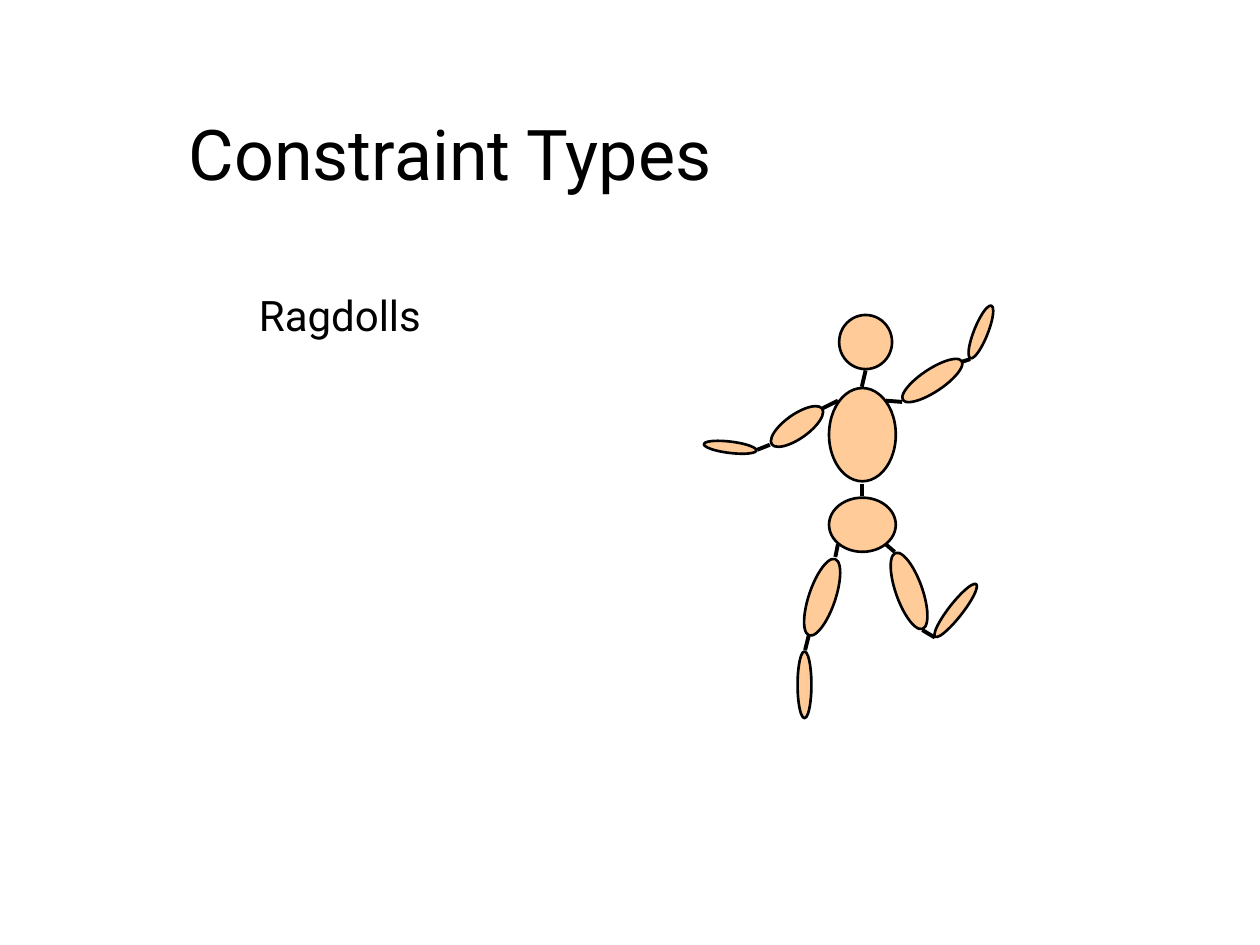
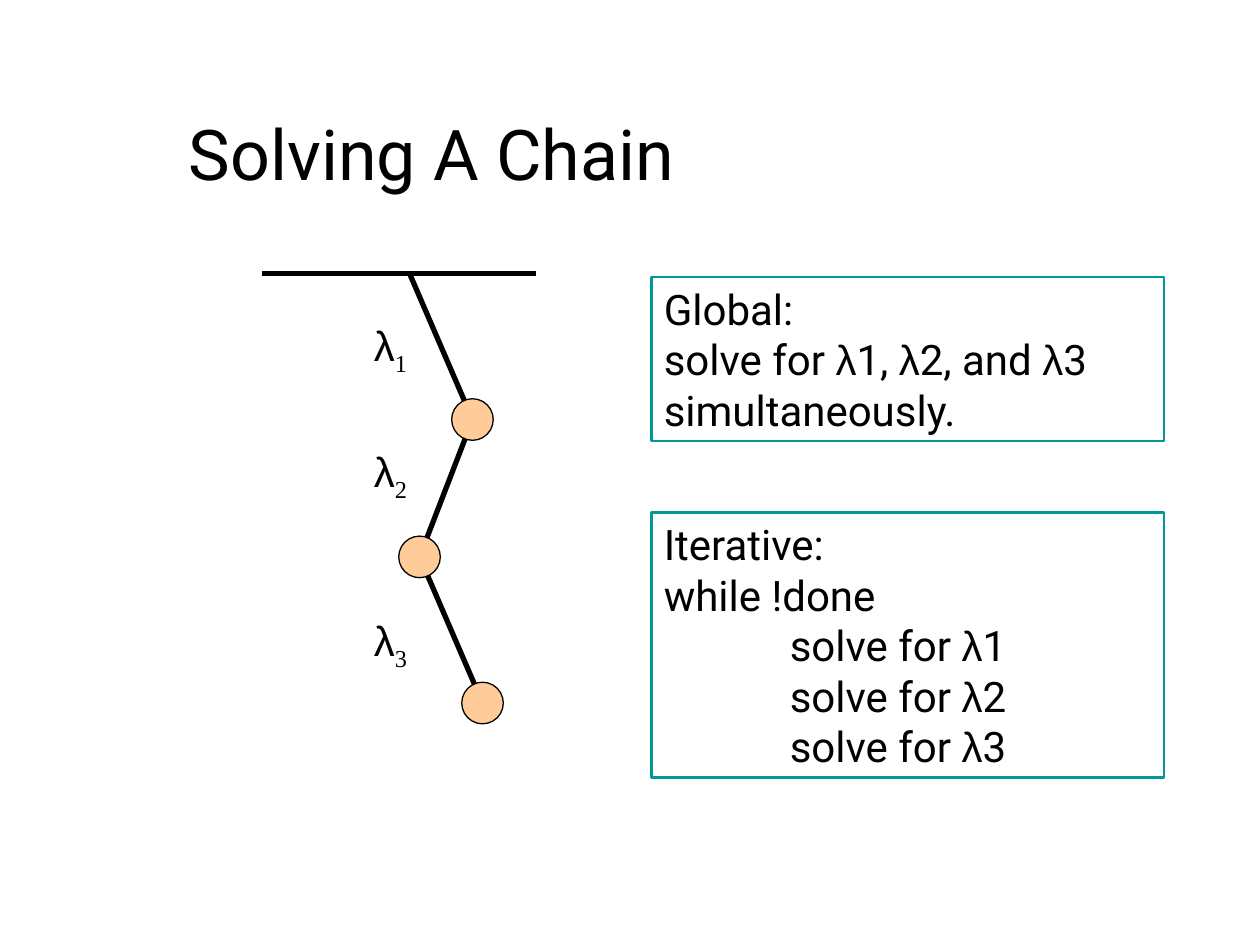
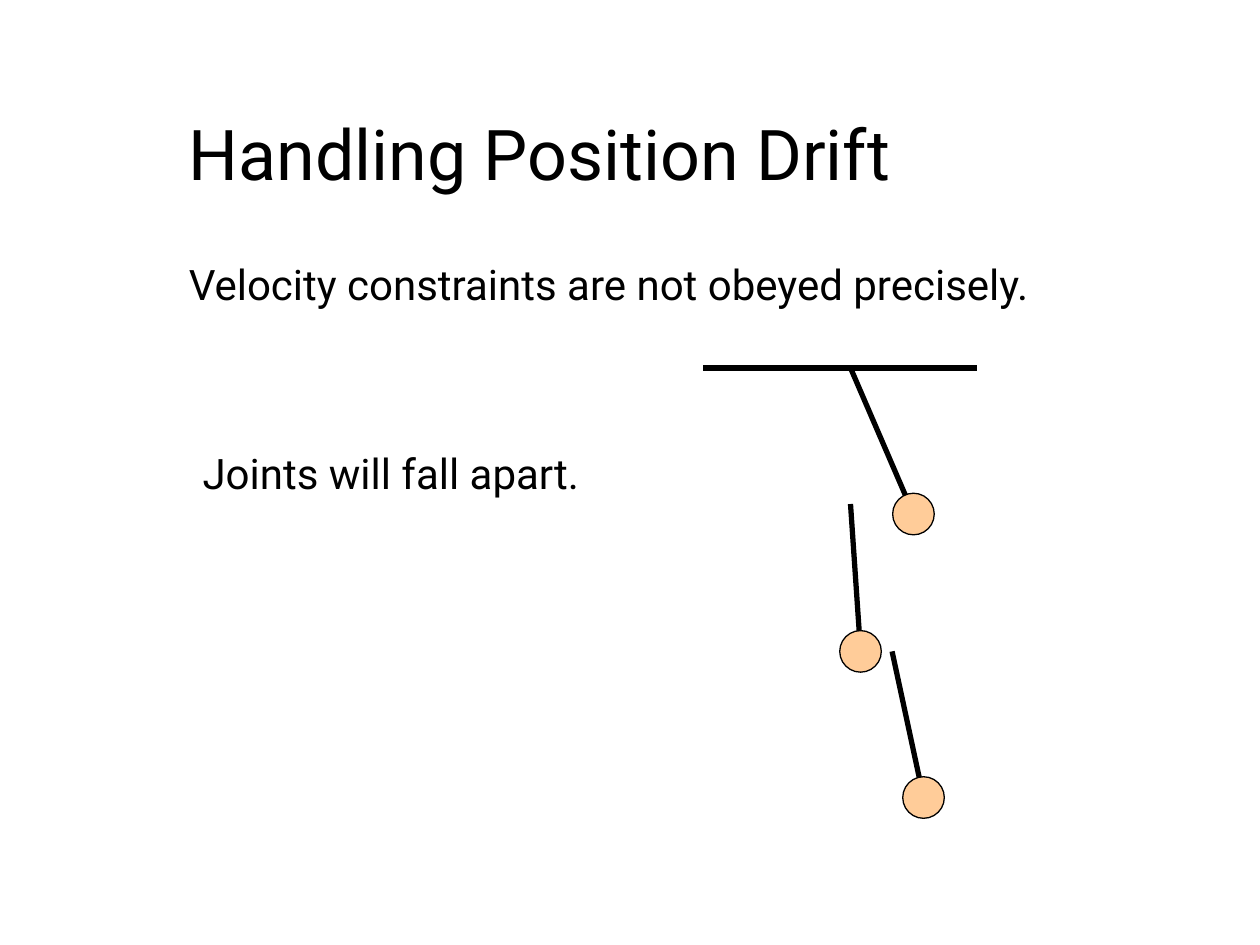
from pptx import Presentation
from pptx.dml.color import RGBColor
from pptx.enum.shapes import MSO_CONNECTOR, MSO_SHAPE
from pptx.enum.text import MSO_ANCHOR, MSO_AUTO_SIZE, PP_ALIGN
from pptx.oxml.ns import qn
from pptx.util import Inches, Pt
from lxml import etree

STRAIGHT = MSO_CONNECTOR.STRAIGHT
ELLIPSE, RECTANGLE = MSO_SHAPE.OVAL, MSO_SHAPE.RECTANGLE
LEFT, RIGHT = PP_ALIGN.LEFT, PP_ALIGN.RIGHT
TOP, MIDDLE = MSO_ANCHOR.TOP, MSO_ANCHOR.MIDDLE
FIT_SHAPE, NO_FIT = MSO_AUTO_SIZE.SHAPE_TO_FIT_TEXT, MSO_AUTO_SIZE.NONE

BLACK = RGBColor(0x00, 0x00, 0x00)
PEACH = RGBColor(0xFF, 0xCC, 0x99)
TEAL = RGBColor(0x00, 0x99, 0x99)

MAIN_FONT, GREEK_FONT, INDEX_FONT = "Roboto", "Arial", "Times New Roman"
TITLE_SIZE, BODY_SIZE = 40, 24
BALL_SIZE = 0.33
CHAIN_BALLS = [(3.75, 3.33), (3.33, 4.42), (3.83, 5.58)]


class SlideBuilder:
    """Holds the deck, its style and the slide being filled."""

    def __init__(self):
        self.deck = Presentation()
        self.deck.slide_width, self.deck.slide_height = Inches(10), Inches(7.5)
        self.page = None

    def new_page(self, title):
        self.page = self.deck.slides.add_slide(self.deck.slide_layouts[6])
        box = self.page.shapes.add_textbox(
            Inches(1.4), Inches(0.42), Inches(7.75), Inches(1.58))
        self.fill_text(box, [title], size=TITLE_SIZE, anchor=MIDDLE, fit=NO_FIT)

    def add_span(self, para, text, font, size):
        span = para.add_run()
        span.text = text
        span.font.name, span.font.size = font, Pt(size)
        span.font.color.rgb = BLACK
        return span

    def fill_text(self, box, lines, size=BODY_SIZE, align=LEFT, anchor=TOP,
                  wrap=True, fit=FIT_SHAPE):
        frame = box.text_frame
        frame.word_wrap, frame.auto_size = wrap, fit
        frame.vertical_anchor = anchor
        for number, line in enumerate(lines):
            para = frame.add_paragraph() if number else frame.paragraphs[0]
            para.alignment = align
            if line.startswith("\t"):
                tabs = etree.SubElement(para._p.get_or_add_pPr(), qn("a:tabLst"))
                etree.SubElement(tabs, qn("a:tab"), pos=str(Inches(1)), algn="l")
            # Each lambda takes the Greek font
            for index, piece in enumerate(line.split("λ")):
                if index:
                    self.add_span(para, "λ", GREEK_FONT, size)
                if piece:
                    self.add_span(para, piece, MAIN_FONT, size)

    def text(self, left, top, width, height, line, align=LEFT):
        box = self.page.shapes.add_textbox(
            Inches(left), Inches(top), Inches(width), Inches(height))
        self.fill_text(box, [line], align=align, wrap=False)
        return box

    def lambda_label(self, top, index):
        box = self.text(2.85, top, 0.48, 0.56, "λ", RIGHT)
        para = box.text_frame.paragraphs[0]
        span = self.add_span(para, str(index), INDEX_FONT, BODY_SIZE)
        span._r.get_or_add_rPr().set("baseline", "-25000")

    def shape(self, kind, left, top, width, height, line_color, line_width):
        shape = self.page.shapes.add_shape(
            kind, Inches(left), Inches(top), Inches(width), Inches(height))
        shape.shadow.inherit = False
        shape.line.color.rgb, shape.line.width = line_color, Pt(line_width)
        return shape

    def ellipse(self, left, top, width, height, rotation=0, line_width=1.5):
        shape = self.shape(ELLIPSE, left, top, width, height, BLACK, line_width)
        shape.fill.solid()
        shape.fill.fore_color.rgb = PEACH
        shape.rotation = rotation

    def frame(self, top, height, lines):
        box = self.shape(RECTANGLE, 5.17, top, 4.07, height, TEAL, 1.5)
        box.fill.background()
        self.fill_text(box, lines)

    def line(self, start, end, width):
        points = [Inches(value) for value in (*start, *end)]
        line = self.page.shapes.add_connector(STRAIGHT, *points)
        line.line.color.rgb, line.line.width = BLACK, Pt(width)
        etree.SubElement(line._element.spPr, qn("a:effectLst"))

    def chain(self, link_starts, right=0, down=0):
        """Ceiling, links and balls, shifted as one group."""
        def shift(point):
            return point[0] + right, point[1] + down

        self.line(shift((2.08, 2.17)), shift((4.25, 2.17)), 3)
        for start, ball in zip(link_starts, CHAIN_BALLS):
            self.line(shift(start), shift(ball), 3)
        for ball in reversed(CHAIN_BALLS):
            x, y = shift(ball)
            self.ellipse(x - BALL_SIZE / 2, y - BALL_SIZE / 2,
                         BALL_SIZE, BALL_SIZE, line_width=0.75)


def build_ragdoll(builder):
    builder.new_page("Constraint Types")
    builder.text(1.9, 2.25, 1.54, 0.5, "Ragdolls", RIGHT)
    body_parts = [
        (6.66, 2.5, 0.42, 0.43, 0),  # head
        (6.58, 3.08, 0.53, 0.74, 0),  # chest
        (6.58, 3.95, 0.53, 0.43, 0),  # hips
        (6.23, 3.14, 0.19, 0.49, 54.7),  # left upper arm
        (7.73, 2.41, 0.11, 0.45, 21.8),  # right forearm
        (7.31, 2.74, 0.18, 0.56, 236.5),  # right upper arm
        (5.75, 3.34, 0.09, 0.42, 276.9),  # left forearm
        (7.11, 4.37, 0.21, 0.64, 340.4),  # right thigh
        (7.53, 4.58, 0.11, 0.53, 38),  # right shin
        (6.42, 4.42, 0.21, 0.64, 18.8),  # left thigh
        (6.33, 5.17, 0.11, 0.53, 0),  # left shin
    ]
    for part in body_parts:
        builder.ellipse(*part)
    joints = [
        ((6.39, 5.16), (6.42, 5.04)),  # left knee
        ((6.65, 3.18), (6.53, 3.24)),  # left shoulder
        ((6.11, 3.53), (6.01, 3.57)),  # left elbow
        ((6.84, 3.84), (6.84, 3.94)),  # waist
        ((6.65, 4.32), (6.63, 4.42)),  # left hip
        ((7.03, 4.32), (7.1, 4.38)),  # right hip
        ((7.32, 5), (7.42, 5.06)),  # right knee
        ((7.03, 3.18), (7.16, 3.19)),  # right shoulder
        ((6.84, 3.07), (6.87, 2.94)),  # neck
        ((7.7, 2.85), (7.64, 2.87)),  # right elbow
    ]
    for start, end in joints:
        builder.line(start, end, 2.25)


def build_chain(builder):
    builder.new_page("Solving A Chain")
    # Every link hangs from the ball above it
    builder.chain([(3.25, 2.17), *CHAIN_BALLS[:2]])
    for index, top in enumerate((2.49, 3.49, 4.83), start=1):
        builder.lambda_label(top, index)
    builder.frame(2.2, 1.3, ["Global:",
                             "solve for λ1, λ2, and λ3 simultaneously."])
    steps = [f"\tsolve for λ{index}" for index in (1, 2, 3)]
    builder.frame(4.07, 2.1, ["Iterative:", "while !done", *steps])


def build_drift(builder):
    builder.new_page("Handling Position Drift")
    builder.text(1.4, 2, 7.26, 0.5,
                 "Velocity constraints are not obeyed precisely.")
    builder.text(1.51, 3.5, 3.24, 0.5, "Joints will fall apart.")
    # The lower links have come loose
    builder.chain([(3.25, 2.17), (3.25, 3.25), (3.58, 4.42)],
                  right=3.5, down=0.75)


def main():
    builder = SlideBuilder()
    build_ragdoll(builder)
    build_chain(builder)
    build_drift(builder)
    builder.deck.save("out.pptx")


if __name__ == "__main__":
    main()
